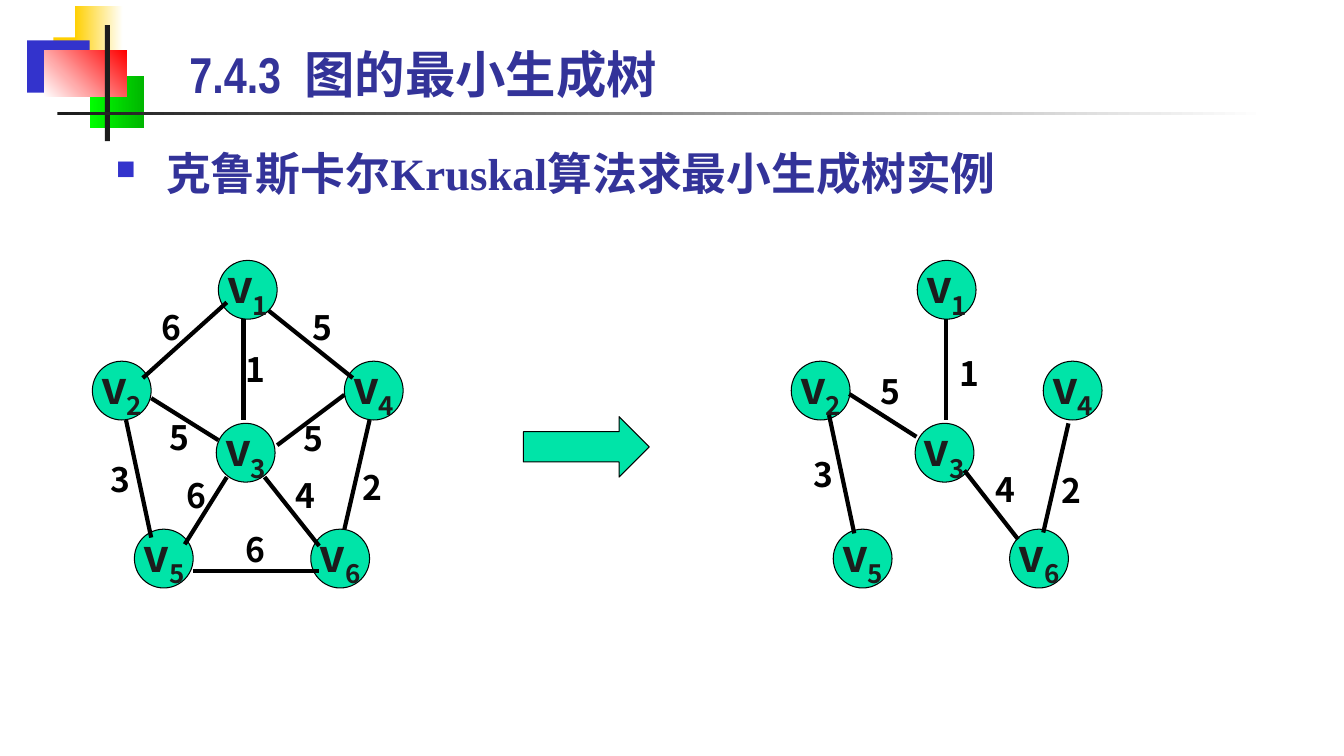
from pptx import Presentation
from pptx.dml.color import RGBColor as Rgb
from pptx.enum.shapes import MSO_CONNECTOR as Link, MSO_SHAPE as Form
from pptx.enum.text import MSO_ANCHOR as Anchor, PP_ALIGN as Align
from pptx.oxml.ns import qn
from pptx.util import Inches, Pt
from lxml.etree import SubElement as Sub

THEME = {
    "gold": "FFCF01", "white": "FFFFFF", "blue": "3333CC", "lime": "00FF00",
    "green": "00B600", "red": "FF0000", "ink": "1C1C1C", "navy": "333399",
    "mint": "00E4A8", "black": "000000",
    "head": 36, "body": 32, "node": 32, "cost": 24,
    "narrow": "Arial Narrow", "serif": "Times New Roman", "sans": "Noto Sans CJK SC",
}
CELL = Inches(1) / 12  # the slide is 160 columns by 90 rows
NODE = 7  # node diameter in cells

deck = Presentation()
deck.slide_width, deck.slide_height = round(160 * CELL), round(90 * CELL)
slide = deck.slides.add_slide(deck.slide_layouts[6])
shapes = slide.shapes


def block(form, box, tones, angle=0, edge=False):
    shape = shapes.add_shape(form, *[round(n * CELL) for n in box])
    shape.shadow.inherit = False
    if len(tones) == 1:
        shape.fill.solid()
        shape.fill.fore_color.rgb = Rgb.from_string(THEME[tones[0]])
    else:
        shape.fill.gradient()
        shape.fill.gradient_angle = angle
        for stop, tone in zip(shape.fill.gradient_stops, tones):
            stop.color.rgb = Rgb.from_string(THEME[tone])
    if edge:
        shape.line.color.rgb = Rgb.from_string(THEME["black"])
        shape.line.width = Pt(0.75)
    else:
        shape.line.fill.background()
    return shape


def write(para, text, size, face, tone):
    run = para.add_run()
    run.text = text
    font = run.font
    font.size, font.bold, font.name = Pt(THEME[size]), True, THEME[face]
    font.color.rgb = Rgb.from_string(THEME[tone])
    Sub(run._r.get_or_add_rPr(), qn("a:ea")).set("typeface", THEME["sans"])
    return run


# Corner blocks and rules
for box, tones, angle in [
    ((6.36, 4.44, 7.68, 6.24), ["gold"], 0),
    ((8.88, 0.72, 5.76, 6.24), ["gold", "white"], 0),
    ((3.24, 4.8, 7.44, 6.24), ["blue"], 0),
    ((10.68, 9, 6.48, 6.24), ["lime", "green"], 0),
    ((5.28, 6, 9.84, 5.52), ["white", "red"], 45),
    ((12.48, 3, 0.6, 13.8), ["ink"], 0),
    ((6.84, 13.32, 144, 0.36), ["ink", "white"], 0),
]:
    block(Form.RECTANGLE, box, tones, angle)

# Title and bullet line
for text, box, size, face, anchor in [
    ("7.4.3  图的最小生成树", (21.36, 3, 136.32, 9.96), "head", "narrow", Anchor.BOTTOM),
    ("克鲁斯卡尔Kruskal算法求最小生成树实例", (12.6, 15.48, 118.56, 11.64),
     "body", "serif", Anchor.TOP),
]:
    frame = shapes.add_textbox(*[round(n * CELL) for n in box]).text_frame
    frame.word_wrap, frame.vertical_anchor = True, anchor
    para = frame.paragraphs[0]
    if size == "body":
        para.line_spacing = 1.2
        props = para._p.get_or_add_pPr()
        props.set("marL", str(Inches(0.5)))
        props.set("indent", str(Inches(-0.5)))
        Sub(Sub(props, qn("a:buClr")), qn("a:srgbClr")).set("val", THEME["blue"])
        Sub(props, qn("a:buSzPct")).set("val", "60000")
        Sub(props, qn("a:buChar")).set("char", "■")
    write(para, text, size, face, "navy")

# Node corners, then edges as (start, end, cost, corner of the cost)
NODES = {"3": (25.75, 50.4), "2": (11, 43), "4": (41, 43),
         "5": (16, 63), "6": (37, 63), "1": (26, 31)}
GRAPH = [
    ((29, 38), (29, 50), "1", (28, 41)),
    ((27, 56.8), (22, 64.8), "6", (21, 56)),
    ((31.5, 56.8), (38, 65), "4", (34, 56)),
    ((27, 36), (17, 45), "6", (18, 36)),
    ((32, 37), (42, 45), "5", (36, 36)),
    ((15, 50), (18, 64), "3", (12, 54)),
    ((44, 50), (41, 63), "2", (42, 55)),
    ((18, 47.4), (26, 52.4), "5", (19, 49)),
    ((41, 47), (33, 53), "5", (35, 49.2)),
    ((23, 68), (38, 68), "6", (28, 62.4)),
]
TREE = [
    ((29.4, 38), (29.4, 50), "1", (29.8, 41.4)),
    ((44, 50.4), (41, 63.4), "2", (42, 55.3)),
    ((15.5, 49.4), (18.5, 63.5), "3", (12.5, 53.5)),
    ((31.6, 56), (38, 64.2), "4", (34.1, 55.2)),
    ((17.9, 46.9), (25.9, 52), "5", (20.4, 43.6)),
]

# Full graph on the left, its spanning tree on the right
for shift, edges in [(0, GRAPH), (83.2, TREE)]:
    for name, (col, row) in NODES.items():
        disc = block(Form.OVAL, (col + shift, row, NODE, NODE), ["mint"], edge=True)
        frame = disc.text_frame
        frame.word_wrap, frame.vertical_anchor = False, Anchor.MIDDLE
        para = frame.paragraphs[0]
        para.alignment = Align.CENTER
        write(para, "v", "node", "sans", "ink")
        sub = write(para, name, "node", "sans", "ink")
        sub._r.get_or_add_rPr().set("baseline", "-25000")
    for start, end, cost, spot in edges:
        ends = [start[0] + shift, start[1], end[0] + shift, end[1]]
        line = shapes.add_connector(Link.STRAIGHT, *[round(n * CELL) for n in ends])
        line.line.color.rgb = Rgb.from_string(THEME["black"])
        line.line.width = Pt(3)
        Sub(line._element.spPr, qn("a:effectLst"))
        box = (spot[0] + shift, spot[1], 6, 6)
        frame = shapes.add_textbox(*[round(n * CELL) for n in box]).text_frame
        frame.word_wrap = True
        write(frame.paragraphs[0], cost, "cost", "sans", "black")

# Arrow between them
block(Form.RIGHT_ARROW, (62.3, 49.6, 15, 7.2), ["mint"], edge=True)

deck.save("out.pptx")
